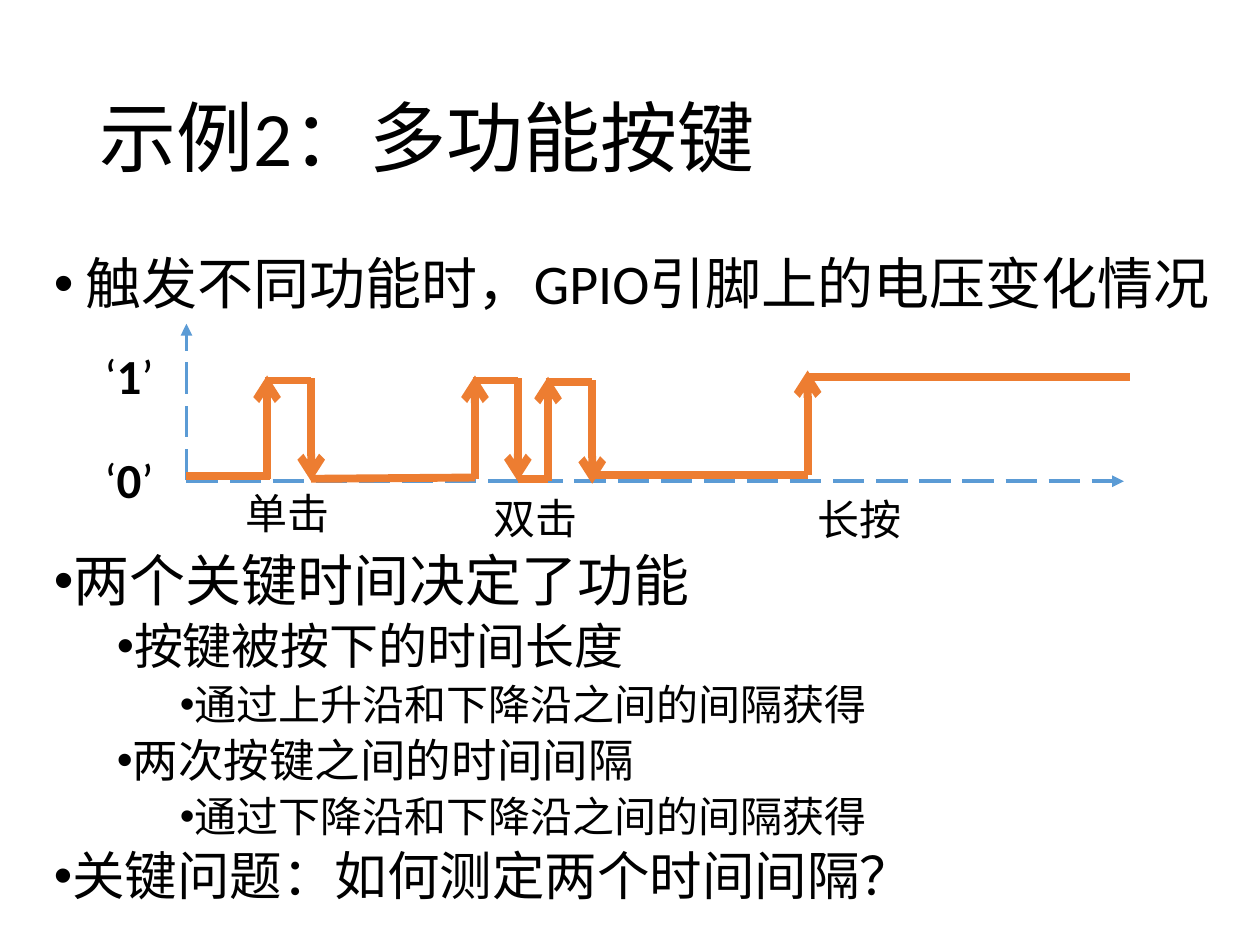
from lxml import etree
from pptx import Presentation
from pptx.dml.color import RGBColor
from pptx.enum.dml import MSO_LINE
from pptx.enum.shapes import MSO_CONNECTOR
from pptx.enum.text import MSO_ANCHOR, MSO_AUTO_SIZE
from pptx.oxml.ns import qn
from pptx.util import Inches, Pt

STRAIGHT = MSO_CONNECTOR.STRAIGHT
LONG_DASH = MSO_LINE.LONG_DASH
MIDDLE = MSO_ANCHOR.MIDDLE
GROW = MSO_AUTO_SIZE.SHAPE_TO_FIT_TEXT
COLORS = {"text": "000000", "signal": "ED7D31", "axis": "5B9BD5"}
FONT = "Calibri"

deck = Presentation()
deck.slide_width, deck.slide_height = Inches(10), Inches(7.5)
page = deck.slides.add_slide(deck.slide_layouts[6])


def add_text(left, top, width, height, paragraphs, wrap=True):
    """Each paragraph is (runs, size, level, left margin, indent, bulleted)."""
    box = page.shapes.add_textbox(Inches(left), Inches(top), Inches(width), Inches(height))
    frame = box.text_frame
    frame.word_wrap = wrap
    if not wrap:
        frame.auto_size = GROW
    for index, (runs, size, level, margin, indent, bulleted) in enumerate(paragraphs):
        para = frame.add_paragraph() if index else frame.paragraphs[0]
        para.level = level
        if wrap:
            para.line_spacing = 0.9
        if index:
            para.space_before = Pt(5)
        if bulleted:
            props = para._p.get_or_add_pPr()
            props.set("marL", str(Inches(margin)))
            props.set("indent", str(Inches(indent)))
            etree.SubElement(props, qn("a:buFont")).set("typeface", "Arial")
            etree.SubElement(props, qn("a:buChar")).set("char", "•")
        para.font.name, para.font.size = FONT, Pt(size)
        para.font.color.rgb = RGBColor.from_string(COLORS["text"])
        for text in runs:
            span = para.add_run()
            span.text = text
            if text in ("0", "1"):
                span.font.bold = True
    return frame


def add_line(start, end, color, width, arrow=None):
    line = page.shapes.add_connector(STRAIGHT, *[Inches(v) for v in start + end])
    line.line.color.rgb = RGBColor.from_string(COLORS[color])
    line.line.width = Pt(width)
    if arrow:
        etree.SubElement(line.line._get_or_add_ln(), qn("a:tailEnd")).set("type", arrow)
    etree.SubElement(line._element.spPr, qn("a:effectLst"))
    return line


# Title and opening bullet
title = add_text(0.69, 0.4, 8.62, 1.45, [(["示例2：多功能按键"], 44, 0, 0, 0, False)])
title.vertical_anchor = MIDDLE
add_text(0.33, 1.98, 9.67, 0.59,
         [(["触发不同功能时，GPIO引脚上的电压变化情况"], 32, 0, 0.25, -0.25, True)])

# Time and voltage axes
for start, end in [((1.48, 3.82), (8.92, 3.82)), ((1.48, 3.81), (1.48, 2.57))]:
    axis = add_line(start, end, "axis", 2.25, "triangle")
    axis.line.dash_style = LONG_DASH

# Flat stretches of the signal
for x1, y1, x2, y2 in [
    (1.48, 3.78, 2.14, 3.78), (2.1, 3.02, 2.47, 3.02),
    (2.47, 3.8, 3.77, 3.79), (3.75, 3.02, 4.11, 3.02),
    (4.11, 3.8, 4.35, 3.8), (4.33, 3.03, 4.7, 3.03),
    (4.7, 3.77, 6.41, 3.77), (6.41, 2.99, 8.97, 2.99),
]:
    add_line((x1, y1), (x2, y2), "signal", 4.5)

# Rising and falling edges
for x, y1, y2 in [
    (2.12, 3.8, 2.98), (2.47, 3, 3.82), (3.77, 3.8, 2.98), (4.11, 3, 3.82),
    (4.35, 3.82, 2.99), (4.7, 3.02, 3.84), (6.41, 3.77, 2.94),
]:
    add_line((x, y1), (x, y2), "signal", 4.5, "arrow")

# Logic levels and press names
for digit, top in [("1", 2.69), ("0", 3.52)]:
    add_text(0.73, top, 0.6, 0.57, [(["‘", digit, "’"], 28, 0, 0, 0, False)], wrap=False)
for name, left, top in [("单击", 1.85, 3.82), ("双击", 3.82, 3.86), ("长按", 6.39, 3.87)]:
    add_text(left, top, 0.88, 0.5, [([name], 24, 0, 0, 0, False)], wrap=False)

# Explanation, half an inch deeper per level
points = [
    ("两个关键时间决定了功能", 32, 1),
    ("按键被按下的时间长度", 28, 2),
    ("通过上升沿和下降沿之间的间隔获得", 24, 3),
    ("两次按键之间的时间间隔", 26, 2),
    ("通过下降沿和下降沿之间的间隔获得", 24, 3),
    ("关键问题：如何测定两个时间间隔？", 30, 1),
]
add_text(0.33, 4.34, 9.42, 2.99,
         [([text], size, level, 0.5 * (level - 1), 0, True) for text, size, level in points])

deck.save("out.pptx")
